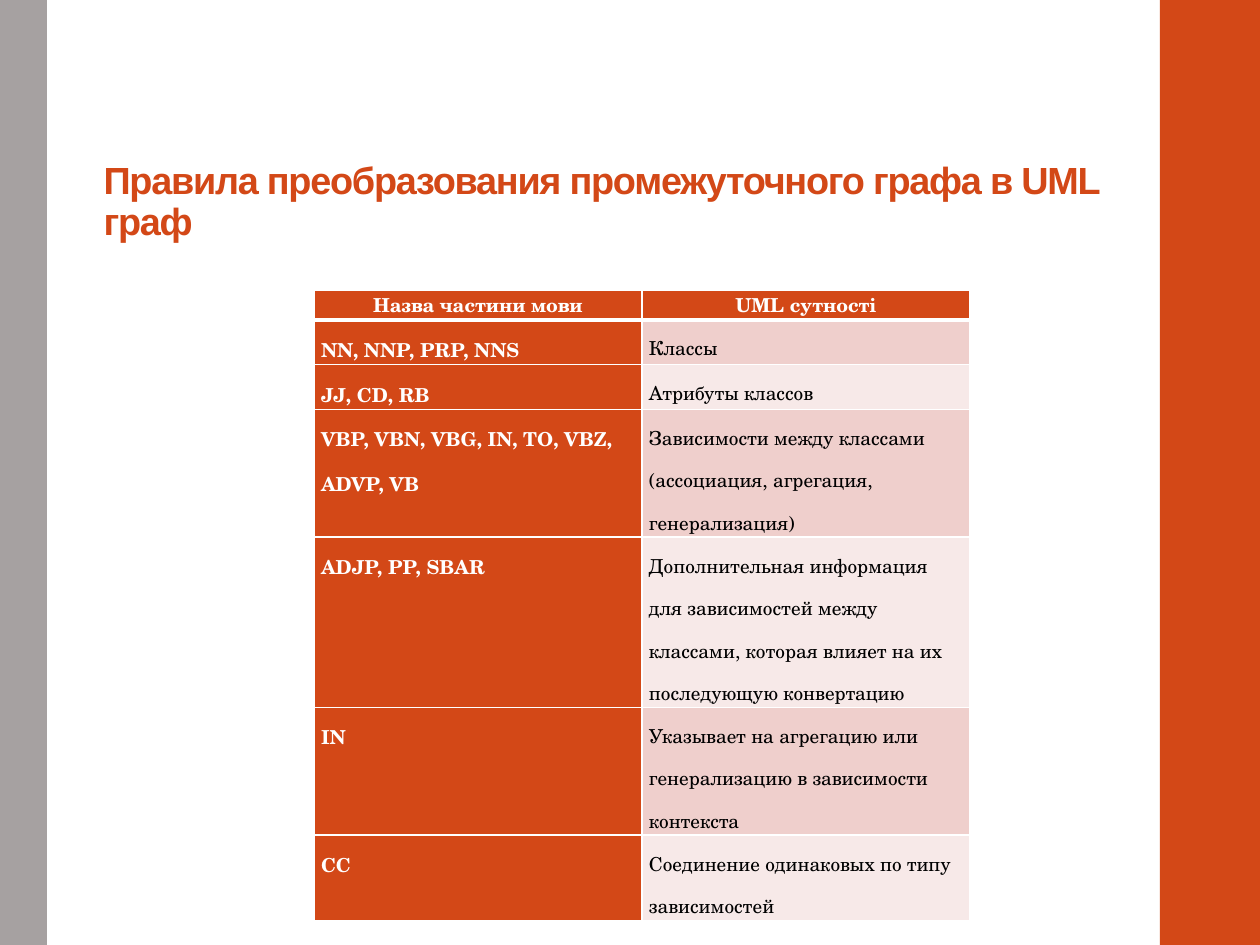
import pptx
import pptx.dml.color
import pptx.enum.shapes
import pptx.enum.text
import pptx.oxml
import pptx.oxml.ns
import pptx.util

# Content
TITLE = "Правила преобразования промежуточного графа в UML граф"
HEADER = ("Назва частини мови", "UML сутності")
RULES = [
    ("NN, NNP, PRP, NNS", "Классы"),
    ("JJ, CD, RB", "Атрибуты классов"),
    ("VBP, VBN, VBG, IN, TO, VBZ, ADVP, VB",
     "Зависимости между классами (ассоциация, агрегация, генерализация)"),
    ("ADJP, PP, SBAR",
     "Дополнительная информация для зависимостей между классами, "
     "которая влияет на их последующую конвертацию"),
    ("IN", "Указывает на агрегацию или генерализацию в зависимости контекста"),
    ("СС", "Соединение одинаковых по типу зависимостей"),
]

# Theme and layout, lengths in px
THEME = {
    "accent": "D34817", "side": "A6A1A1", "bands": ("EFCFCC", "F7E9E8"),
    "light": "FFFFFF", "dark": "000000",
    "title_font": "Arial", "table_font": "TeX Gyre Schola",
    "title_size": 21.6, "table_size": 11,
}
PAGE_SIZE = (1260, 945)
BARS = [((1160, 0, 100, 945), THEME["accent"]), ((0, 0, 47, 945), THEME["side"])]
TITLE_BOX = (91, 149, 1042, 101)
TABLE_LEFT, TABLE_TOP, COLUMN_WIDTH = 314, 290, 328
ROW_HEIGHTS = [24, 33, 33, 100, 139, 100, 67]
CELL_INSET = 7


def px(length):
    return pptx.util.Emu(round(length * 914400 / 126))


def color(value):
    return pptx.dml.color.RGBColor.from_string(value)


def write(frame, text, *, font, size, ink, bold=False, align="LEFT",
          line_spacing=1.0, tracking=None):
    para = frame.paragraphs[0]
    para.alignment = getattr(pptx.enum.text.PP_ALIGN, align)
    para.line_spacing = line_spacing
    span = para.add_run()
    span.text = text
    span.font.name = font
    span.font.size = pptx.util.Pt(size)
    span.font.bold = bold
    span.font.color.rgb = color(ink)
    if tracking is not None:
        span.font._element.set("spc", str(round(tracking * 100)))


def set_borders(cell, widths):
    properties = cell._tc.get_or_add_tcPr()
    for position, (side, width) in enumerate(widths.items()):
        line = pptx.oxml.parse_xml(
            f'<a:ln{side} {pptx.oxml.ns.nsdecls("a")} w="{pptx.util.Pt(width)}">'
            f'<a:solidFill><a:srgbClr val="{THEME["light"]}"/></a:solidFill>'
            f'</a:ln{side}>')
        properties.insert(position, line)


def add_bar(page, bounds, fill):
    bar = page.shapes.add_shape(
        pptx.enum.shapes.MSO_SHAPE.RECTANGLE, *map(px, bounds))
    bar.shadow.inherit = False
    bar.fill.solid()
    bar.fill.fore_color.rgb = color(fill)
    bar.line.fill.background()


def add_title(page):
    box = page.shapes.title
    box.left, box.top, box.width, box.height = map(px, TITLE_BOX)
    frame = box.text_frame
    frame.word_wrap = True
    frame.auto_size = pptx.enum.text.MSO_AUTO_SIZE.NONE
    frame.vertical_anchor = pptx.enum.text.MSO_ANCHOR.BOTTOM
    write(frame, TITLE, font=THEME["title_font"], size=THEME["title_size"],
          ink=THEME["accent"], bold=True, line_spacing=0.9, tracking=-0.7)


def add_rules_table(page):
    rows = [HEADER, *RULES]
    table = page.shapes.add_table(
        len(rows), len(HEADER), px(TABLE_LEFT), px(TABLE_TOP),
        px(COLUMN_WIDTH * len(HEADER)), px(sum(ROW_HEIGHTS))).table
    for column in table.columns:
        column.width = px(COLUMN_WIDTH)
    for row_index, texts in enumerate(rows):
        table.rows[row_index].height = px(ROW_HEIGHTS[row_index])
        is_header = row_index == 0
        for column_index, text in enumerate(texts):
            cell = table.cell(row_index, column_index)
            is_strong = is_header or column_index == 0
            cell.margin_left = cell.margin_right = px(CELL_INSET)
            cell.margin_top = cell.margin_bottom = 0
            cell.fill.solid()
            cell.fill.fore_color.rgb = color(
                THEME["accent"] if is_strong else THEME["bands"][(row_index - 1) % 2])
            set_borders(cell, {"L": 1, "R": 1, "T": 3 if row_index == 1 else 1,
                               "B": 3 if is_header else 1})
            write(cell.text_frame, text, font=THEME["table_font"],
                  size=THEME["table_size"], bold=is_strong,
                  ink=THEME["light"] if is_strong else THEME["dark"],
                  align="CENTER" if is_header else "LEFT",
                  line_spacing=1.0 if is_header else 1.5)


def main():
    deck = pptx.Presentation()
    deck.slide_width, deck.slide_height = map(px, PAGE_SIZE)
    page = deck.slides.add_slide(deck.slide_layouts.get_by_name("Title Only"))
    for bounds, fill in BARS:
        add_bar(page, bounds, fill)
    add_title(page)
    add_rules_table(page)
    deck.save("out.pptx")


if __name__ == "__main__":
    main()
